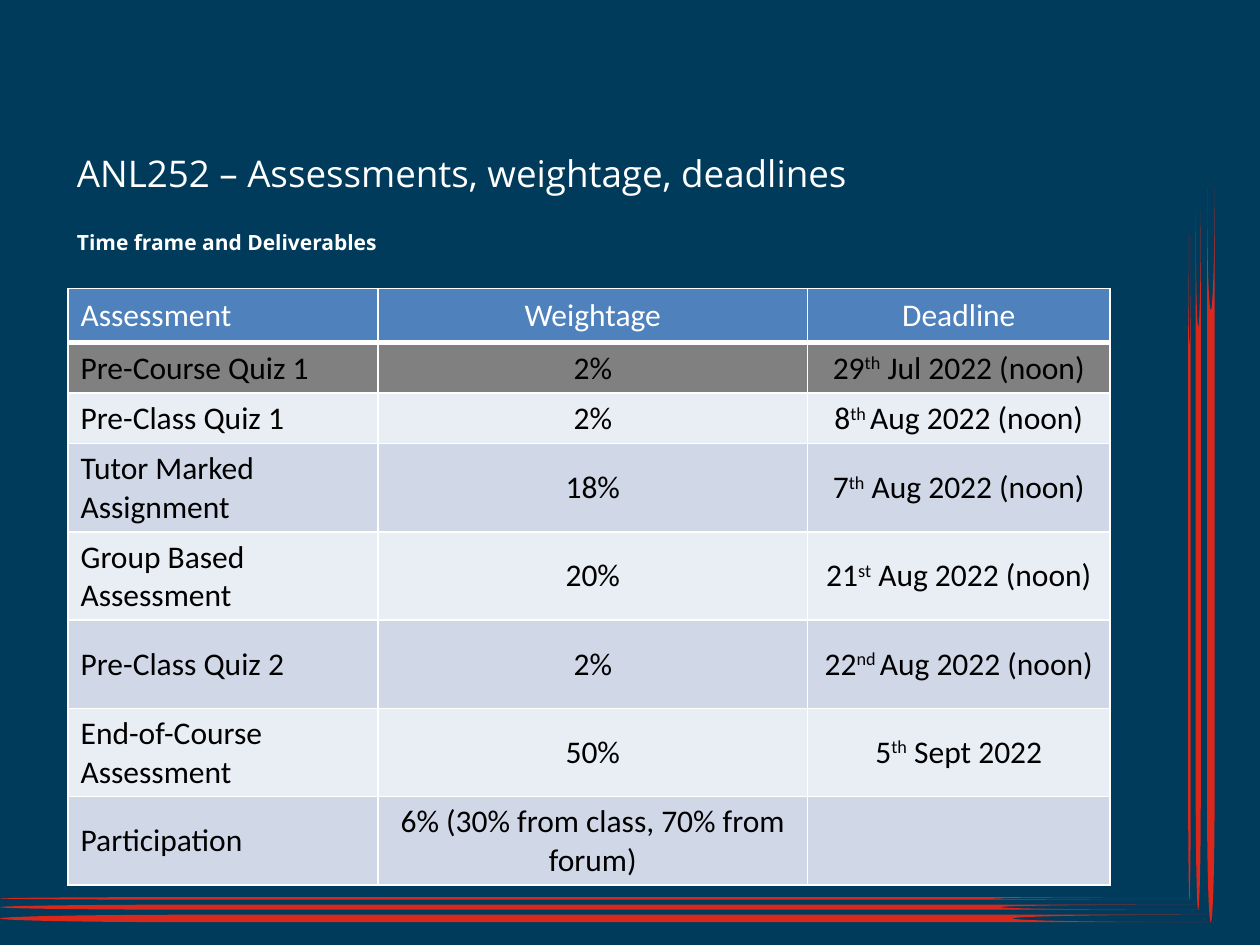
from dataclasses import dataclass

from lxml.etree import SubElement
from pptx import Presentation
from pptx.dml.color import RGBColor
from pptx.enum.shapes import MSO_SHAPE
from pptx.enum.text import MSO_ANCHOR, PP_ALIGN
from pptx.oxml.ns import qn
from pptx.util import Inches, Pt


@dataclass(frozen=True)
class Theme:
    navy: str = "003B5C"
    red: str = "DA291C"
    white: str = "FFFFFF"
    black: str = "000000"
    header: str = "4F81BD"
    done: str = "808080"
    bands: tuple = ("E9EDF4", "D0D8E8")
    heading_font: str = "Open Sans"
    table_font: str = "Calibri"
    title_size: int = 21
    subtitle_size: int = 12
    table_size: int = 18


THEME = Theme()

HEADER = ("Assessment", "Weightage", "Deadline")
# Each deadline is split into day, raised ordinal and the rest.
ASSESSMENTS = [
    ("Pre-Course Quiz 1", "2%", ("29", "th", " Jul 2022 (noon)")),
    ("Pre-Class Quiz 1", "2%", ("8", "th ", "Aug 2022 (noon)")),
    ("Tutor Marked Assignment", "18%", ("7", "th", " Aug 2022 (noon)")),
    ("Group Based Assessment", "20%", ("21", "st", " Aug 2022 (noon)")),
    ("Pre-Class Quiz 2", "2%", ("22", "nd ", "Aug 2022 (noon)")),
    ("End-of-Course Assessment", "50%", ("5", "th", " Sept 2022")),
    ("Participation", "6% (30% from class, 70% from forum)", ()),
]
COLUMN_WIDTHS = (2.46, 3.41, 2.4)
ROW_HEIGHTS = (0.43, 0.4, 0.4, 0.4, 0.7, 0.7, 0.7, 0.4)


def add_run(p, text, font, size, color, bold=False, raised=False):
    r = p.add_run()
    r.text = text
    r.font.name = font
    r.font.size = Pt(size)
    r.font.bold = bold
    r.font.color.rgb = RGBColor.from_string(color)
    if raised:
        r._r.get_or_add_rPr().set("baseline", "30000")


def add_block(slide, shape, left, top, width, height, color):
    sp = slide.shapes.add_shape(
        shape, Inches(left), Inches(top), Inches(width), Inches(height))
    sp.shadow.inherit = False
    sp.fill.solid()
    sp.fill.fore_color.rgb = RGBColor.from_string(color)
    sp.line.fill.background()
    return sp


def add_stripes(slide):
    """Three pairs of tapered stripes, each pair meeting at a lower right corner."""
    taper = MSO_SHAPE.FLOWCHART_STORED_DATA
    pairs = [(7.12, 0.02, 9.45, 5.28), (7.18, 0.04, 9.53, 5.55),
             (7.26, 0.06, 9.64, 5.83)]
    for top, thick, across, up in pairs:
        add_block(slide, taper, 0, top, across, thick, THEME.red)
        center_x, center_y = across - thick / 2, top + thick - up / 2
        sp = add_block(slide, taper, center_x - up / 2, center_y - thick / 2,
                       up, thick, THEME.red)
        sp.rotation = 270


def add_heading(slide, left, top, width, height, text, size, bold=False):
    box = slide.shapes.add_textbox(
        Inches(left), Inches(top), Inches(width), Inches(height))
    tf = box.text_frame
    tf.word_wrap = True
    tf.margin_left = tf.margin_right = Inches(0.07)
    tf.margin_top = tf.margin_bottom = Inches(0.04)
    add_run(tf.paragraphs[0], text, THEME.heading_font, size, THEME.white, bold)


def set_cell_style(cell, fill, bottom_width):
    """Borders go in before the fill, as the schema orders them."""
    tc_pr = cell._tc.get_or_add_tcPr()
    for side, width in (("L", 1), ("R", 1), ("T", 1), ("B", bottom_width)):
        ln = SubElement(tc_pr, qn(f"a:ln{side}"), w=str(Pt(width)))
        solid = SubElement(ln, qn("a:solidFill"))
        SubElement(solid, qn("a:srgbClr"), val=THEME.white)
    cell.fill.solid()
    cell.fill.fore_color.rgb = RGBColor.from_string(fill)
    cell.vertical_anchor = MSO_ANCHOR.MIDDLE


def add_assessment_table(slide, left, top):
    rows = [[(name,), (weight,), deadline] for name, weight, deadline in ASSESSMENTS]
    rows.insert(0, [(label,) for label in HEADER])
    frame = slide.shapes.add_table(
        len(rows), len(HEADER), Inches(left), Inches(top),
        Inches(sum(COLUMN_WIDTHS)), Inches(sum(ROW_HEIGHTS)))
    table = frame.table
    for column, width in zip(table.columns, COLUMN_WIDTHS):
        column.width = Inches(width)
    for row, height in zip(table.rows, ROW_HEIGHTS):
        row.height = Inches(height)

    for i, row in enumerate(rows):
        is_header = i == 0
        fill = (THEME.header, THEME.done)[i] if i < 2 else THEME.bands[i % 2]
        color = THEME.white if is_header else THEME.black
        for j, parts in enumerate(row):
            cell = table.cell(i, j)
            set_cell_style(cell, fill, 3 if is_header else 1)
            p = cell.text_frame.paragraphs[0]
            p.font.size = Pt(THEME.table_size)
            p.alignment = PP_ALIGN.CENTER if j else PP_ALIGN.LEFT
            for k, text in enumerate(parts):
                add_run(p, text, THEME.table_font, THEME.table_size, color,
                        raised=k == 1)


def main():
    prs = Presentation()
    prs.slide_width, prs.slide_height = Inches(10), Inches(7.5)
    slide = prs.slides.add_slide(prs.slide_layouts[6])
    add_block(slide, MSO_SHAPE.RECTANGLE, 0, 0, 10, 7.5, THEME.navy)
    add_stripes(slide)
    add_heading(slide, 0.54, 1.16, 6.79, 0.5,
                "ANL252 – Assessments, weightage, deadlines", THEME.title_size)
    add_heading(slide, 0.54, 1.78, 6.19, 0.25,
                "Time frame and Deliverables", THEME.subtitle_size, bold=True)
    add_assessment_table(slide, 0.54, 2.29)
    prs.save("out.pptx")


if __name__ == "__main__":
    main()
